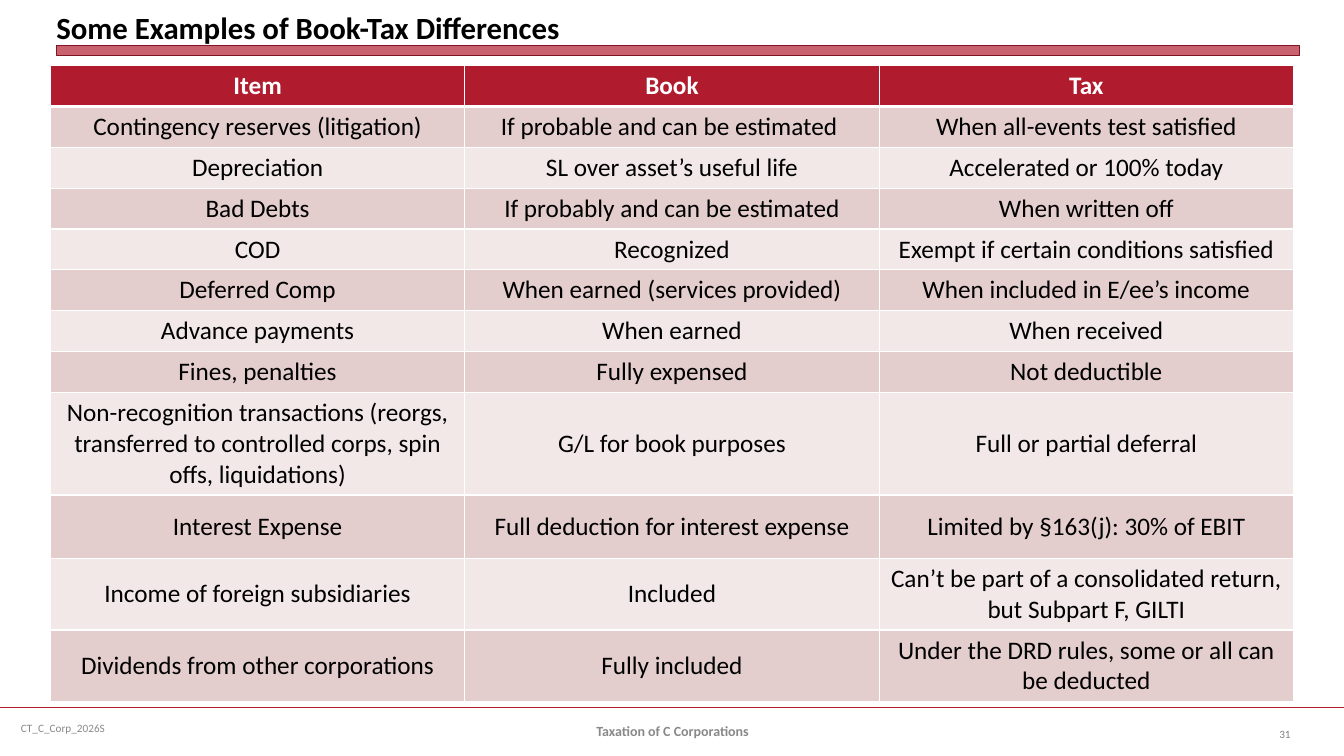
from dataclasses import dataclass

from lxml import etree
from pptx import Presentation
from pptx.dml.color import RGBColor
from pptx.enum.shapes import MSO_CONNECTOR, MSO_SHAPE
from pptx.enum.text import MSO_ANCHOR, PP_ALIGN
from pptx.oxml.ns import qn
from pptx.slide import Slide
from pptx.table import _Cell
from pptx.text.text import TextFrame
from pptx.util import Inches, Pt

LEFT, CENTER, RIGHT = PP_ALIGN.LEFT, PP_ALIGN.CENTER, PP_ALIGN.RIGHT
TOP, MIDDLE, BOTTOM = MSO_ANCHOR.TOP, MSO_ANCHOR.MIDDLE, MSO_ANCHOR.BOTTOM
RECTANGLE, STRAIGHT = MSO_SHAPE.RECTANGLE, MSO_CONNECTOR.STRAIGHT


@dataclass(frozen=True)
class Theme:
    font: str = "Calibri"
    accent: str = "B01C2E"
    accent_dark: str = "821522"
    band_dark: str = "E4CDCD"
    band_light: str = "F2E8E8"
    white: str = "FFFFFF"
    black: str = "000000"
    footer: str = "898989"
    page_number: str = "808080"
    title_size: int = 22
    table_size: int = 18
    footer_size: int = 10
    small_size: int = 8


THEME = Theme()


@dataclass(frozen=True)
class TextStyle:
    size: int
    color: str
    bold: bool = False
    align: PP_ALIGN = CENTER
    anchor: MSO_ANCHOR = MIDDLE


@dataclass(frozen=True)
class Label:
    text: str
    box: tuple[float, float, float, float]
    style: TextStyle
    margins: tuple[float, float] = (0.1, 0.05)


@dataclass(frozen=True)
class Difference:
    item: str
    book: str
    tax: str
    height: float = 0.36


LABELS = [
    Label("Some Examples of Book-Tax Differences", (0.56, 0.05, 12.33, 0.4),
          TextStyle(THEME.title_size, THEME.black, True, LEFT, BOTTOM), (0, 0)),
    Label("CT_C_Corp_2026S", (0.11, 7.02, 3.44, 0.4),
          TextStyle(THEME.small_size, THEME.footer, align=LEFT)),
    Label("Taxation of C Corporations", (4.56, 7.05, 4.22, 0.4),
          TextStyle(THEME.footer_size, THEME.footer, True)),
    Label("31", (12.23, 7.08, 0.67, 0.4),
          TextStyle(THEME.small_size, THEME.page_number, align=RIGHT)),
]

HEADER_STYLE = TextStyle(THEME.table_size, THEME.white, True, anchor=TOP)
BODY_STYLE = TextStyle(THEME.table_size, THEME.black)

# The first row is the header
DIFFERENCES = [
    Difference("Item", "Book", "Tax"),
    Difference("Contingency reserves (litigation)", "If probable and can be estimated ",
               "When all-events test satisfied"),
    Difference("Depreciation", "SL over asset’s useful life", "Accelerated or 100% today"),
    Difference("Bad Debts", "If probably and can be estimated", "When written off"),
    Difference("COD", "Recognized", "Exempt if certain conditions satisfied"),
    Difference("Deferred Comp", "When earned (services provided)",
               "When included in E/ee’s income"),
    Difference("Advance payments", "When earned", "When received"),
    Difference("Fines, penalties", "Fully expensed", "Not deductible"),
    Difference("Non-recognition transactions (reorgs, transferred to controlled corps, "
               "spin offs, liquidations)", "G/L for book purposes",
               "Full or partial deferral", 0.91),
    Difference("Interest Expense", "Full deduction for interest expense",
               "Limited by §163(j): 30% of EBIT", 0.63),
    Difference("Income of foreign subsidiaries", "Included",
               "Can’t be part of a consolidated return, but Subpart F, GILTI", 0.64),
    Difference("Dividends from other corporations", "Fully included",
               "Under the DRD rules, some or all can be deducted", 0.64),
]


def write_text(frame: TextFrame, text: str, style: TextStyle) -> None:
    paragraph = frame.paragraphs[0]
    paragraph.alignment = style.align
    run = paragraph.add_run()
    run.text = text
    formats = {"name": THEME.font, "size": Pt(style.size), "bold": style.bold}
    for name, value in formats.items():
        setattr(run.font, name, value)
    run.font.color.rgb = RGBColor.from_string(style.color)


def add_label(slide: Slide, label: Label) -> None:
    frame = slide.shapes.add_textbox(*map(Inches, label.box)).text_frame
    side, edge = map(Inches, label.margins)
    formats = {"word_wrap": True, "vertical_anchor": label.style.anchor,
               "margin_left": side, "margin_right": side,
               "margin_top": edge, "margin_bottom": edge}
    for name, value in formats.items():
        setattr(frame, name, value)
    write_text(frame, label.text, label.style)


def add_footer_line(slide: Slide) -> None:
    line = slide.shapes.add_connector(
        STRAIGHT, Inches(0), Inches(7.02), Inches(13.33), Inches(7.02))
    line.line.color.rgb = RGBColor.from_string(THEME.accent)
    line.line.width = Pt(1.25)
    etree.SubElement(line._element.spPr, qn("a:effectLst"))


def add_title_bar(slide: Slide) -> None:
    bar = slide.shapes.add_shape(
        RECTANGLE, Inches(0.56), Inches(0.45), Inches(12.33), Inches(0.1))
    bar.shadow.inherit = False
    bar.fill.solid()
    bar.fill.fore_color.rgb = RGBColor.from_string(THEME.accent)
    color = bar._element.spPr.find(qn("a:solidFill")).find(qn("a:srgbClr"))
    etree.SubElement(color, qn("a:alpha"), val="69000")
    bar.line.color.rgb = RGBColor.from_string(THEME.accent_dark)
    bar.line.width = Pt(0)


def add_borders(cell: _Cell, widths: dict[str, float]) -> None:
    properties = cell._tc.get_or_add_tcPr()
    for side, width in widths.items():
        border = etree.SubElement(properties, qn(f"a:ln{side}"), w=str(Pt(width)))
        fill = etree.SubElement(border, qn("a:solidFill"))
        etree.SubElement(fill, qn("a:srgbClr"), val=THEME.white)


def add_differences_table(slide: Slide) -> None:
    table = slide.shapes.add_table(
        len(DIFFERENCES), 3, Inches(0.5), Inches(0.65), Inches(12.33),
        Inches(sum(row.height for row in DIFFERENCES))).table
    for column in table.columns:
        column.width = Inches(4.11)
    for index, row in enumerate(DIFFERENCES):
        table.rows[index].height = Inches(row.height)
        band = THEME.band_dark if index % 2 else THEME.band_light
        fill = band if index else THEME.accent
        style = BODY_STYLE if index else HEADER_STYLE
        # The rule between header and body is heavier
        widths = {"L": 1, "R": 1, "T": 3 if index == 1 else 1, "B": 1 if index else 3}
        for cell, text in zip(table.rows[index].cells, (row.item, row.book, row.tax)):
            add_borders(cell, widths)
            cell.fill.solid()
            cell.fill.fore_color.rgb = RGBColor.from_string(fill)
            cell.vertical_anchor = style.anchor
            write_text(cell.text_frame, text, style)


def main() -> None:
    presentation = Presentation()
    presentation.slide_width = Inches(13.33)
    presentation.slide_height = Inches(7.5)
    slide = presentation.slides.add_slide(presentation.slide_layouts[6])

    # Rules and table
    add_footer_line(slide)
    add_title_bar(slide)
    add_differences_table(slide)

    # Title and footer texts
    for label in LABELS:
        add_label(slide, label)

    presentation.save("out.pptx")


if __name__ == "__main__":
    main()
